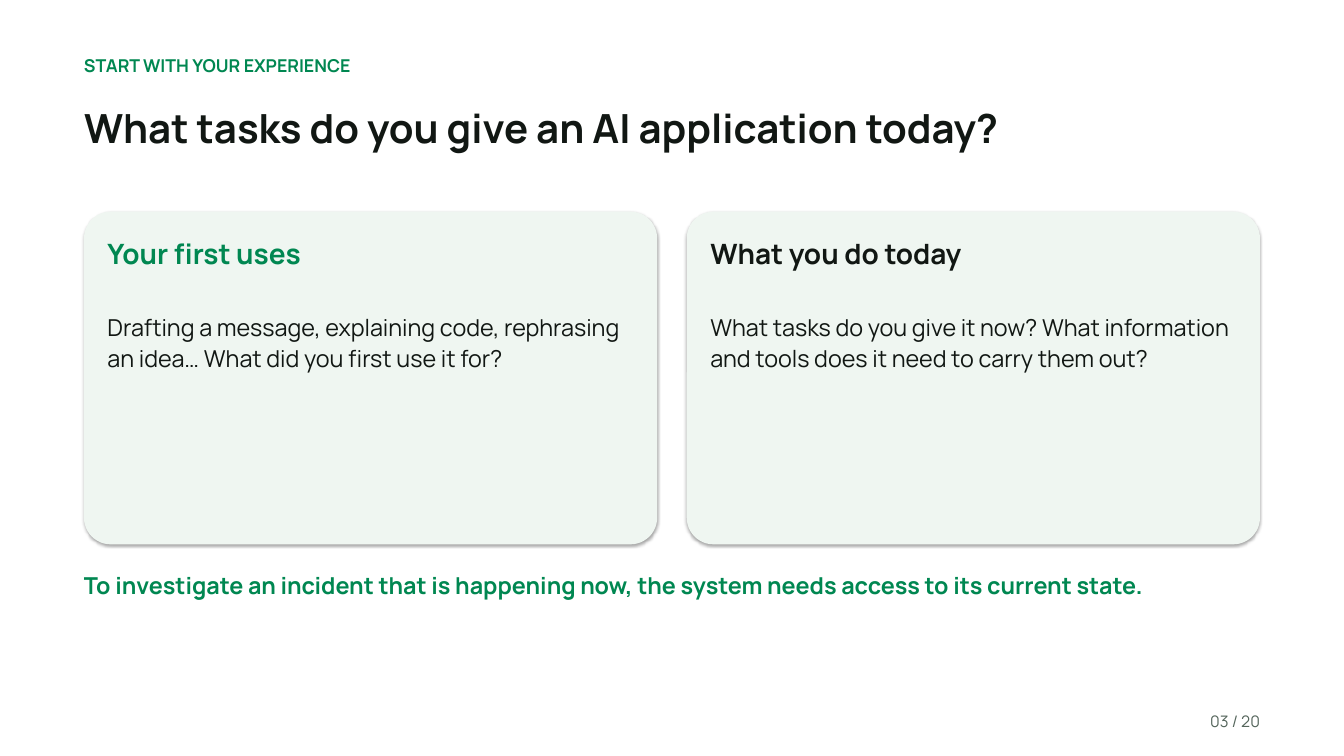
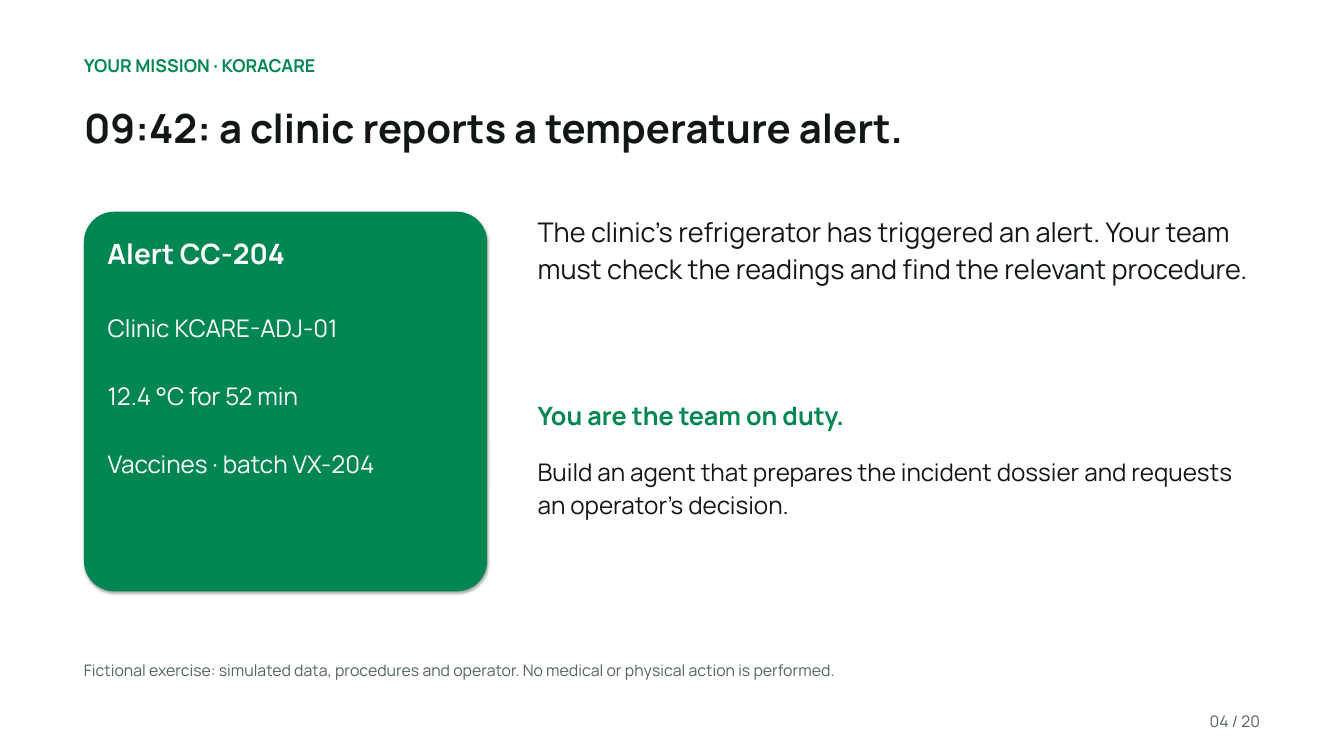
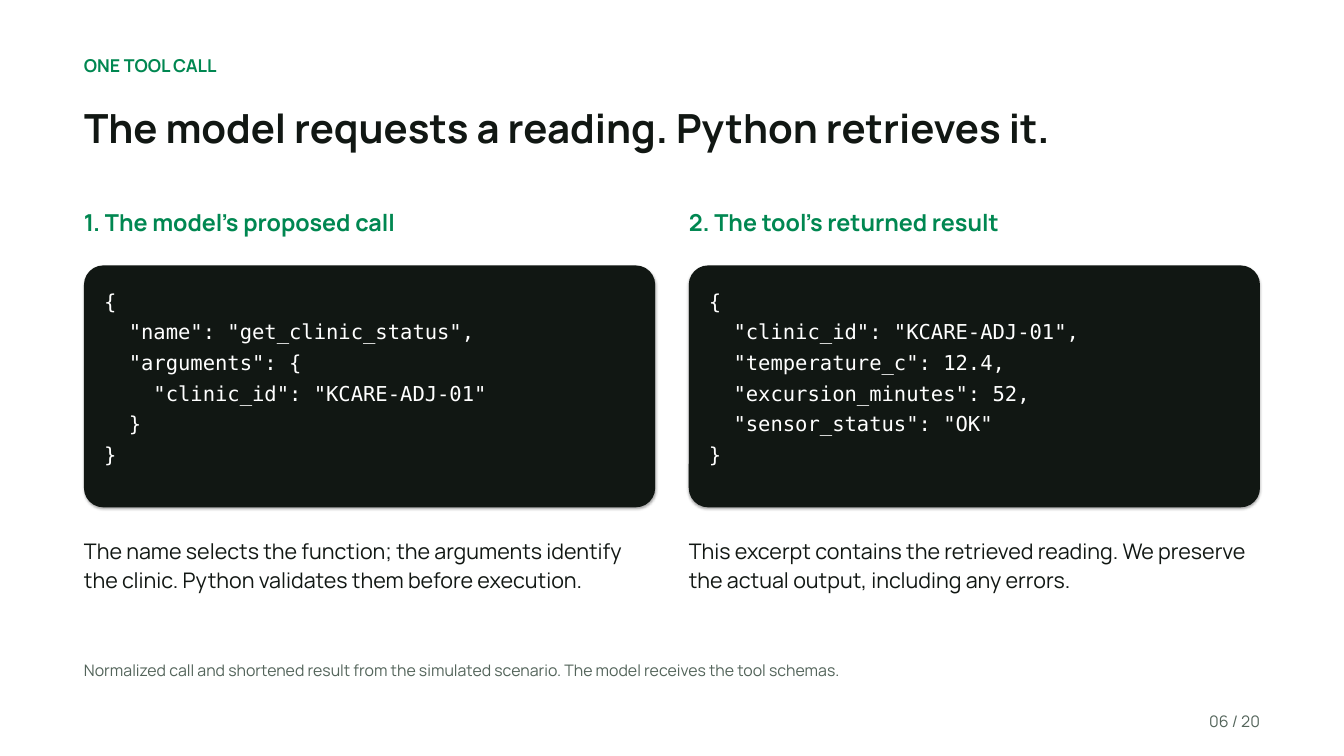
from dataclasses import dataclass
from typing import NamedTuple, Optional, Sequence

from lxml import etree
from pptx import Presentation
from pptx.dml.color import RGBColor
from pptx.enum.shapes import MSO_SHAPE
from pptx.enum.text import MSO_ANCHOR, MSO_AUTO_SIZE, PP_ALIGN
from pptx.oxml.ns import qn
from pptx.util import Inches, Pt

ROUNDED = MSO_SHAPE.ROUNDED_RECTANGLE
TOP = MSO_ANCHOR.TOP
GROW = MSO_AUTO_SIZE.SHAPE_TO_FIT_TEXT
LEFT, RIGHT = PP_ALIGN.LEFT, PP_ALIGN.RIGHT
TITLE_AND_BODY, TITLE_ONLY = 1, 5


# Theme: colours, fonts and type sizes
@dataclass(frozen=True)
class Theme:
    green: str = "008751"
    ink: str = "111713"
    grey: str = "53645A"
    pale: str = "EFF6F1"
    white: str = "FFFFFF"
    sans: str = "Manrope"
    mono: str = "DejaVu Sans Mono"
    title: float = 43
    card_head: float = 30
    lead: float = 29
    callout: float = 27
    detail: float = 26
    body: float = 25
    caption: float = 23
    code: float = 22
    kicker: float = 19
    small: float = 17
    leading: float = 1.13
    corner: float = 0.08


THEME = Theme()


class Box(NamedTuple):
    left: float
    top: float
    width: float
    height: float


class Style(NamedTuple):
    size: float
    color: str = THEME.ink
    bold: bool = False
    font: str = THEME.sans
    after: float = 7
    align: PP_ALIGN = LEFT


@dataclass(frozen=True)
class Card:
    heading: str
    heading_color: str
    text: str


@dataclass(frozen=True)
class CodePanel:
    heading: str
    code: str
    caption: str


MARGIN = 1.25
CONTENT = 17.5
TITLE = Style(THEME.title, bold=True)
KICKER = Style(THEME.kicker, THEME.green, True)
NOTE = Style(THEME.small, THEME.grey)
PAGE_NUMBER = NOTE._replace(align=RIGHT)
STATEMENT = Style(THEME.body, THEME.green, True)
CODE = Style(THEME.code, THEME.white, font=THEME.mono, after=3)


# Text helpers
def place(shape, box: Box) -> None:
    shape.left, shape.top, shape.width, shape.height = map(Inches, box)


def add_span(para, text: str, style: Style) -> None:
    span = para.add_run()
    span.text = text
    span.font.name = style.font
    span.font.size = Pt(style.size)
    span.font.bold = style.bold
    span.font.color.rgb = RGBColor.from_string(style.color)


def prepare_frame(shape, box: Box):
    place(shape, box)
    frame = shape.text_frame
    frame.margin_left = frame.margin_right = 0
    frame.margin_top = frame.margin_bottom = 0
    frame.word_wrap = True
    frame.auto_size = GROW
    frame.vertical_anchor = TOP
    return frame


def write(shape, box: Box, lines: Sequence[str], style: Style) -> None:
    frame = prepare_frame(shape, box)
    for index, line in enumerate(lines):
        para = frame.add_paragraph() if index else frame.paragraphs[0]
        if shape.is_placeholder:
            props = para._p.get_or_add_pPr()
            props.set("marL", "0")
            props.set("indent", "0")
            etree.SubElement(props, qn("a:buNone"))
        para.alignment = style.align
        para.line_spacing = THEME.leading
        para.space_before = Pt(0)
        para.space_after = Pt(style.after)
        add_span(para, line, style)


def add_text(page, box: Box, text: str, style: Style) -> None:
    shape = page.shapes.add_textbox(*map(Inches, box))
    write(shape, box, text.split("\n"), style)


def add_panel(page, box: Box, color: str) -> None:
    # The soft shadow comes from the template's theme
    panel = page.shapes.add_shape(ROUNDED, *map(Inches, box))
    panel.adjustments[0] = THEME.corner
    panel.fill.solid()
    panel.fill.fore_color.rgb = RGBColor.from_string(color)
    panel.line.fill.background()


# Shared page frame
def add_page(deck, number: int, kicker: str, title: str,
             layout: int = TITLE_ONLY, note: Optional[str] = None):
    page = deck.slides.add_slide(deck.slide_layouts[layout])
    page.background.fill.solid()
    page.background.fill.fore_color.rgb = RGBColor.from_string(THEME.white)
    write(page.shapes.title, Box(MARGIN, 1.45, CONTENT, 1.5), [title], TITLE)
    add_text(page, Box(MARGIN, 0.78, CONTENT, 0.4), kicker, KICKER)
    add_text(page, Box(17.35, 10.55, 1.4, 0.4), f"{number:02} / 20", PAGE_NUMBER)
    if note:
        add_text(page, Box(MARGIN, 9.8, CONTENT, 0.62), note, NOTE)
    return page


def add_card(page, box: Box, color: str, heading: str, heading_color: str) -> Box:
    """Draw a headed card and return the area for its text."""
    add_panel(page, box, color)
    inner = Box(box.left + 0.35, box.top + 0.3, box.width - 0.7, 1)
    add_text(page, inner, heading, Style(THEME.card_head, heading_color, True))
    return inner._replace(top=box.top + 1.45, height=box.height - 1.65)


# Experience: two cards side by side
def build_experience(deck) -> None:
    page = add_page(deck, 3, "START WITH YOUR EXPERIENCE",
                    "What tasks do you give an AI application today?")
    cards = (
        Card("Your first uses", THEME.green,
             "Drafting a message, explaining code, rephrasing an idea… "
             "What did you first use it for?"),
        Card("What you do today", THEME.ink,
             "What tasks do you give it now? What information and tools "
             "does it need to carry them out?"),
    )
    width, gap = 8.53, 0.44
    for column, card in enumerate(cards):
        box = Box(MARGIN + column * (width + gap), 3.15, width, 4.95)
        area = add_card(page, box, THEME.pale, card.heading, card.heading_color)
        add_text(page, area, card.text, Style(THEME.body))
    add_text(page, Box(MARGIN, 8.45, CONTENT, 1),
             "To investigate an incident that is happening now, "
             "the system needs access to its current state.", STATEMENT)


# Mission: alert card and briefing
def build_mission(deck) -> None:
    page = add_page(deck, 4, "YOUR MISSION · KORACARE",
                    "09:42: a clinic reports a temperature alert.", TITLE_AND_BODY,
                    "Fictional exercise: simulated data, procedures and operator. "
                    "No medical or physical action is performed.")
    area = add_card(page, Box(MARGIN, 3.15, 6, 5.65), THEME.green,
                    "Alert CC-204", THEME.white)
    details = page.placeholders[1]
    write(details, area,
          ["Clinic KCARE-ADJ-01", "12.4 °C for 52 min", "Vaccines · batch VX-204"],
          Style(THEME.detail, THEME.white, after=38))
    # Bring the list in front of its card
    page.shapes._spTree.append(details._element)

    briefing = (
        (3.15, 2.4, Style(THEME.lead),
         "The clinic’s refrigerator has triggered an alert. Your team must "
         "check the readings and find the relevant procedure."),
        (5.9, 0.6, Style(THEME.callout, THEME.green, True),
         "You are the team on duty."),
        (6.75, 1.9, Style(THEME.detail),
         "Build an agent that prepares the incident dossier and requests "
         "an operator’s decision."),
    )
    for top, height, style, text in briefing:
        add_text(page, Box(8, top, 10.7, height), text, style)


# Tool call: request and result as code
def build_tool_call(deck) -> None:
    page = add_page(deck, 6, "ONE TOOL CALL",
                    "The model requests a reading. Python retrieves it.",
                    note="Normalized call and shortened result from the simulated "
                         "scenario. The model receives the tool schemas.")
    request = """{
  "name": "get_clinic_status",
  "arguments": {
    "clinic_id": "KCARE-ADJ-01"
  }
}"""
    result = """{
  "clinic_id": "KCARE-ADJ-01",
  "temperature_c": 12.4,
  "excursion_minutes": 52,
  "sensor_status": "OK"
}"""
    panels = (
        CodePanel("1. The model’s proposed call", request,
                  "The name selects the function; the arguments identify the "
                  "clinic. Python validates them before execution."),
        CodePanel("2. The tool’s returned result", result,
                  "This excerpt contains the retrieved reading. We preserve "
                  "the actual output, including any errors."),
    )
    width, gap = 8.5, 0.5
    for column, panel in enumerate(panels):
        left = MARGIN + column * (width + gap)
        add_text(page, Box(left, 3.05, width, 0.65), panel.heading, STATEMENT)
        add_panel(page, Box(left, 3.95, width, 3.6), THEME.ink)
        add_text(page, Box(left + 0.3, 4.25, width - 0.6, 3), panel.code, CODE)
        add_text(page, Box(left, 7.95, width, 1.35), panel.caption,
                 Style(THEME.caption))


def main() -> None:
    deck = Presentation()
    deck.slide_width, deck.slide_height = Inches(20), Inches(11.25)
    build_experience(deck)
    build_mission(deck)
    build_tool_call(deck)
    deck.save("out.pptx")


if __name__ == "__main__":
    main()
